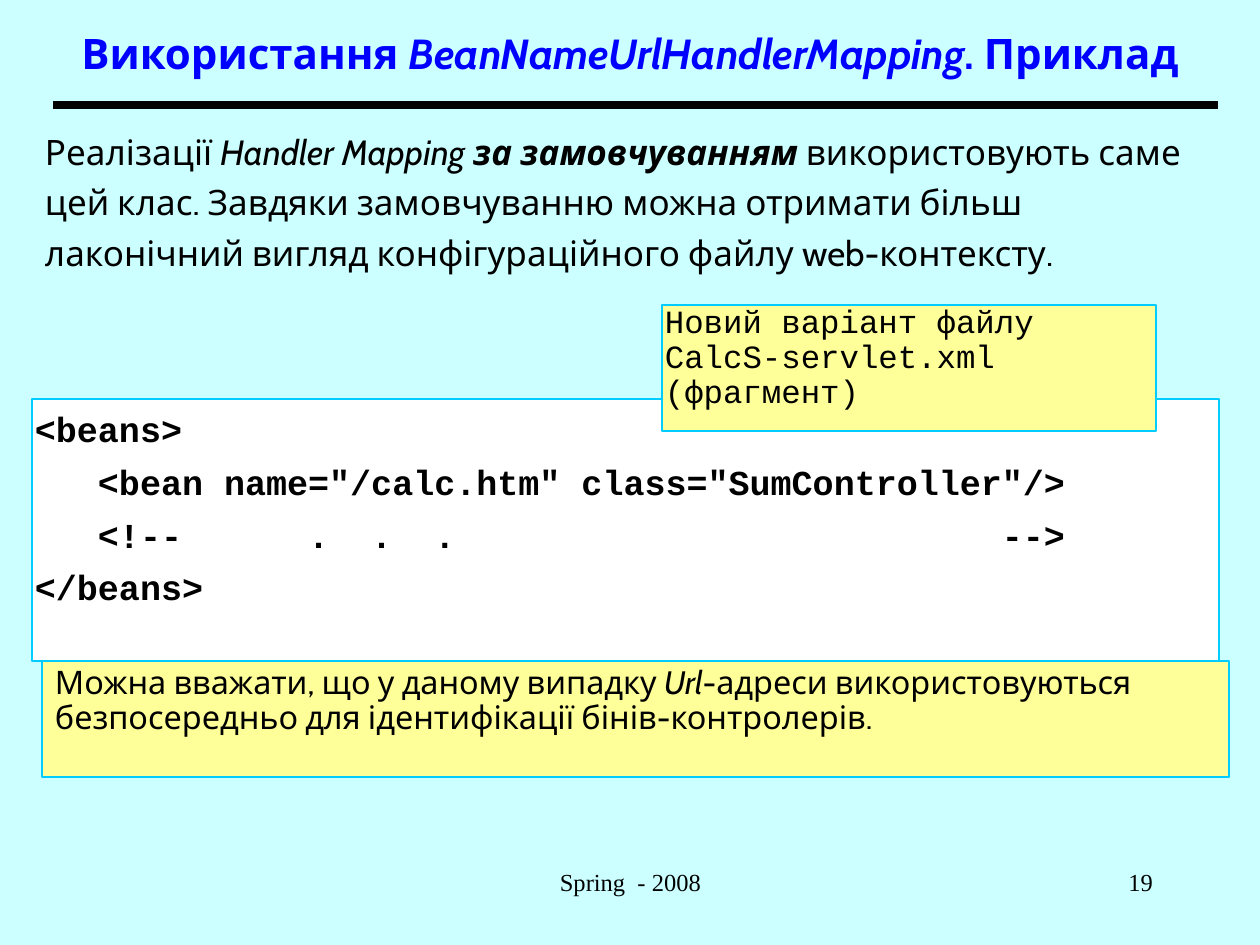
from pptx import Presentation
from pptx.dml.color import RGBColor
from pptx.enum.shapes import MSO_CONNECTOR, MSO_SHAPE
from pptx.enum.text import MSO_ANCHOR, PP_ALIGN
from pptx.oxml.ns import qn
from pptx.util import Emu, Pt

LEFT, CENTER, RIGHT = PP_ALIGN.LEFT, PP_ALIGN.CENTER, PP_ALIGN.RIGHT
TOP, MIDDLE = MSO_ANCHOR.TOP, MSO_ANCHOR.MIDDLE
RECT, STRAIGHT = MSO_SHAPE.RECTANGLE, MSO_CONNECTOR.STRAIGHT

SANS, MONO, SERIF = "Cabin", "Courier New", "Times New Roman"
BLACK, BLUE, WHITE = "000000", "0000FF", "FFFFFF"
YELLOW, CYAN, PALE = "FFFF99", "00CCFF", "CCFFFF"
INSETS = (13, 6, 13, 6)


def px(n):
    return Emu(round(n * 914400 / 126))


def color(value):
    return RGBColor.from_string(value)


def write(sp, paragraphs, font, size, fill=BLACK, bold=False, align=LEFT,
          anchor=TOP, spacing=1.0, before=0, insets=INSETS):
    """Fill a shape with paragraphs, each a list of (text, style) runs."""
    tf = sp.text_frame
    tf.word_wrap = True
    tf.vertical_anchor = anchor
    (tf.margin_left, tf.margin_top,
     tf.margin_right, tf.margin_bottom) = map(px, insets)
    for i, runs in enumerate(paragraphs):
        p = tf.add_paragraph() if i else tf.paragraphs[0]
        p.alignment = align
        p.line_spacing = spacing
        p.space_before = Pt(before if i else 0)
        for j, (text, style) in enumerate(runs):
            for k, part in enumerate(text.split("\n")):
                if k:
                    p.add_line_break()
                r = p.add_run()
                r.text = part
                r.font.name = font
                r.font.size = Pt(size)
                r.font.bold = bold or "b" in style
                r.font.italic = "i" in style
                r.font.color.rgb = color(fill)


def add_text(slide, box, paragraphs, font, size, **style):
    sp = slide.shapes.add_textbox(*map(px, box))
    write(sp, paragraphs, font, size, **style)


def add_panel(slide, box, fill, paragraphs, font, size, **style):
    sp = slide.shapes.add_shape(RECT, *map(px, box))
    sp.shadow.inherit = False
    sp.fill.solid()
    sp.fill.fore_color.rgb = color(fill)
    sp.line.color.rgb = color(CYAN)
    sp.line.width = Pt(1)
    write(sp, paragraphs, font, size, **style)


def add_header(slide, x, y, w, h):
    add_text(slide, (x, y, w, h),
             [[("Використання ", ""), ("BeanNameUrlHandlerMapping", "i"),
               (". Приклад", "")]],
             SANS, 24, fill=BLUE, bold=True, align=CENTER, anchor=MIDDLE)
    rule = slide.shapes.add_connector(
        STRAIGHT, px(x + 53), px(y + h), px(x + w - 42), px(y + h))
    rule.line.color.rgb = color(BLACK)
    rule.line.width = Pt(4.5)
    sp_pr = rule._element.spPr
    sp_pr.append(sp_pr.makeelement(qn("a:effectLst"), {}))


def add_intro(slide, x, y, w, h):
    add_text(slide, (x, y, w, h),
             [[("Реалізації ", ""), ("Handler Mapping ", "i"),
               ("за замовчуванням", "bi"),
               (" використовують саме цей клас. Завдяки замовчуванню можна "
                "отримати більш лаконічний вигляд конфігураційного файлу "
                "web-контексту.", "")]],
             SANS, 20, spacing=1.2)


def add_example(slide, x, y, w, h):
    # Code listing
    code = ['<beans>',
            '   <bean name="/calc.htm" class="SumController"/>',
            '   <!--      .  .  .                          -->',
            '</beans>']
    add_panel(slide, (x, y + 94, w, h - 94), WHITE,
              [[(line, "")] for line in code],
              MONO, 20, bold=True, before=6, insets=(3, 9, 0, 1))
    # File caption over the listing
    add_panel(slide, (x + 630, y, 494, 126), YELLOW,
              [[("Новий варіант файлу \nCalcS-servlet.xml (фрагмент)", "")]],
              MONO, 18.5, spacing=0.9, insets=(3, 1, 0, 1))


def add_note(slide, x, y, w, h):
    add_panel(slide, (x, y, w, h), YELLOW,
              [[("Можна вважати, що у даному випадку ", ""), ("Url", "i"),
                ("-адреси використовуються безпосередньо для ідентифікації "
                 "бінів-контролерів.", "")]],
              SANS, 18.5, spacing=0.9, insets=(13, 6, 10, 1))


def add_footer(slide, x, y, w, h):
    add_text(slide, (x, y, 399, h), [[("Spring  - 2008", "")]],
             SERIF, 14, align=CENTER)
    add_text(slide, (x + w - 262, y, 262, h), [[("19", "")]],
             SERIF, 14, align=RIGHT)


def main():
    prs = Presentation()
    prs.slide_width, prs.slide_height = px(1260), px(945)
    slide = prs.slides.add_slide(prs.slide_layouts[6])
    slide.background.fill.solid()
    slide.background.fill.fore_color.rgb = color(PALE)

    add_header(slide, 0, 0, 1260, 105)
    add_intro(slide, 32, 116, 1187, 787)
    add_example(slide, 32, 305, 1187, 356)
    add_note(slide, 42, 661, 1187, 116)
    add_footer(slide, 431, 861, 735, 63)
    prs.save("out.pptx")


if __name__ == "__main__":
    main()
